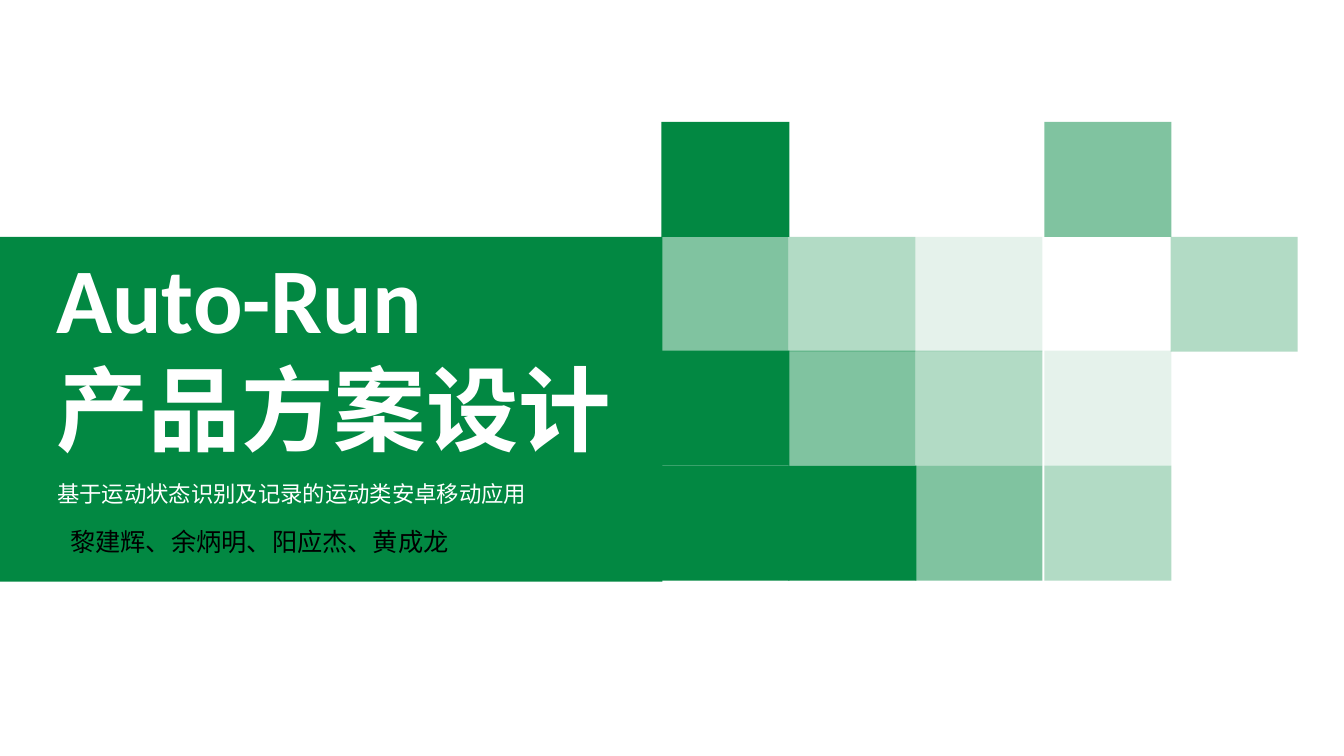
from lxml.etree import SubElement
from pptx import Presentation
from pptx.dml.color import RGBColor
from pptx.enum.shapes import MSO_SHAPE as Shape
from pptx.enum.text import MSO_ANCHOR as Anchor, MSO_AUTO_SIZE as AutoSize, PP_ALIGN as Align
from pptx.oxml.ns import qn
from pptx.util import Inches, Pt

GREEN, WHITE, BLACK = "028842", "FFFFFF", "000000"
LATIN, CHINESE = "Calibri", "Noto Sans CJK SC"
TILE_WIDTH, TILE_HEIGHT, SOLID_OVERLAP = 1.26, 1.14, 0.01
COLUMN_OFFSETS = [0, 1.26, 2.52, 3.8, 5.05]
ROW_OFFSETS = [0, 1.14, 2.27, 3.41]
TILE_OPACITY = [
    [100, None, None, 50, None],
    [50, 30, 10, None, 30],
    [100, 50, 30, 10, None],
    [100, 100, 50, 30, None],
]


def color(value):
    return RGBColor.from_string(value)


def add_block(page, left, top, width, height, opacity=100):
    solid = opacity == 100
    block = page.shapes.add_shape(
        Shape.RECTANGLE, Inches(left), Inches(top),
        Inches(width + SOLID_OVERLAP * solid), Inches(height))
    block.shadow.inherit = False
    block.line.fill.background()
    block.fill.solid()
    block.fill.fore_color.rgb = color(GREEN)
    if not solid:
        tint = block.fill._xPr.find(qn("a:solidFill"))[0]
        SubElement(tint, qn("a:alpha"), val=str(opacity * 1000))


def add_mosaic(page, left, top):
    for row_offset, opacities in zip(ROW_OFFSETS, TILE_OPACITY):
        for column_offset, opacity in zip(COLUMN_OFFSETS, opacities):
            if opacity is not None:
                add_block(page, left + column_offset, top + row_offset,
                          TILE_WIDTH, TILE_HEIGHT, opacity)


def write_text(box, lines, size, font, ink, bold=False, spacing=1.0):
    frame = box.text_frame
    frame.word_wrap = True
    frame.auto_size = AutoSize.SHAPE_TO_FIT_TEXT
    frame.vertical_anchor = Anchor.TOP
    for index, line in enumerate(lines):
        para = frame.add_paragraph() if index else frame.paragraphs[0]
        para.alignment = Align.LEFT
        para.line_spacing = spacing
        span = para.add_run()
        span.text = line
        span.font.size = Pt(size)
        span.font.name = font
        span.font.bold = bold
        span.font.color.rgb = color(ink)
        SubElement(span.font._element, qn("a:ea"), typeface=CHINESE)


def add_heading(page, left, top, width, height):
    title = page.shapes.title
    page.shapes._spTree.append(title._element)
    title.left, title.top = Inches(left), Inches(top)
    title.width, title.height = Inches(width), Inches(height)
    write_text(title, ["Auto-Run", "产品方案设计"], 66, LATIN, WHITE, bold=True)


def add_caption(page, left, top, width, height, line, size, font, ink, spacing=1.0):
    box = page.shapes.add_textbox(Inches(left), Inches(top), Inches(width), Inches(height))
    write_text(box, [line], size, font, ink, spacing=spacing)


def add_cover(deck):
    page = deck.slides.add_slide(deck.slide_layouts[5])
    add_block(page, 0, 2.35, 6.56, 3.42)
    add_mosaic(page, 6.56, 1.21)
    add_heading(page, 0.46, 2.34, 6.1, 2.32)
    add_caption(page, 0.47, 4.63, 6.67, 0.45,
                "基于运动状态识别及记录的运动类安卓移动应用", 16, CHINESE, WHITE, 1.3)
    add_caption(page, 0.6, 5.17, 5.24, 0.4,
                "黎建辉、余炳明、阳应杰、黄成龙", 18, LATIN, BLACK)


def main():
    deck = Presentation()
    deck.slide_width, deck.slide_height = Inches(13.33), Inches(7.5)
    add_cover(deck)
    deck.save("out.pptx")


if __name__ == "__main__":
    main()
